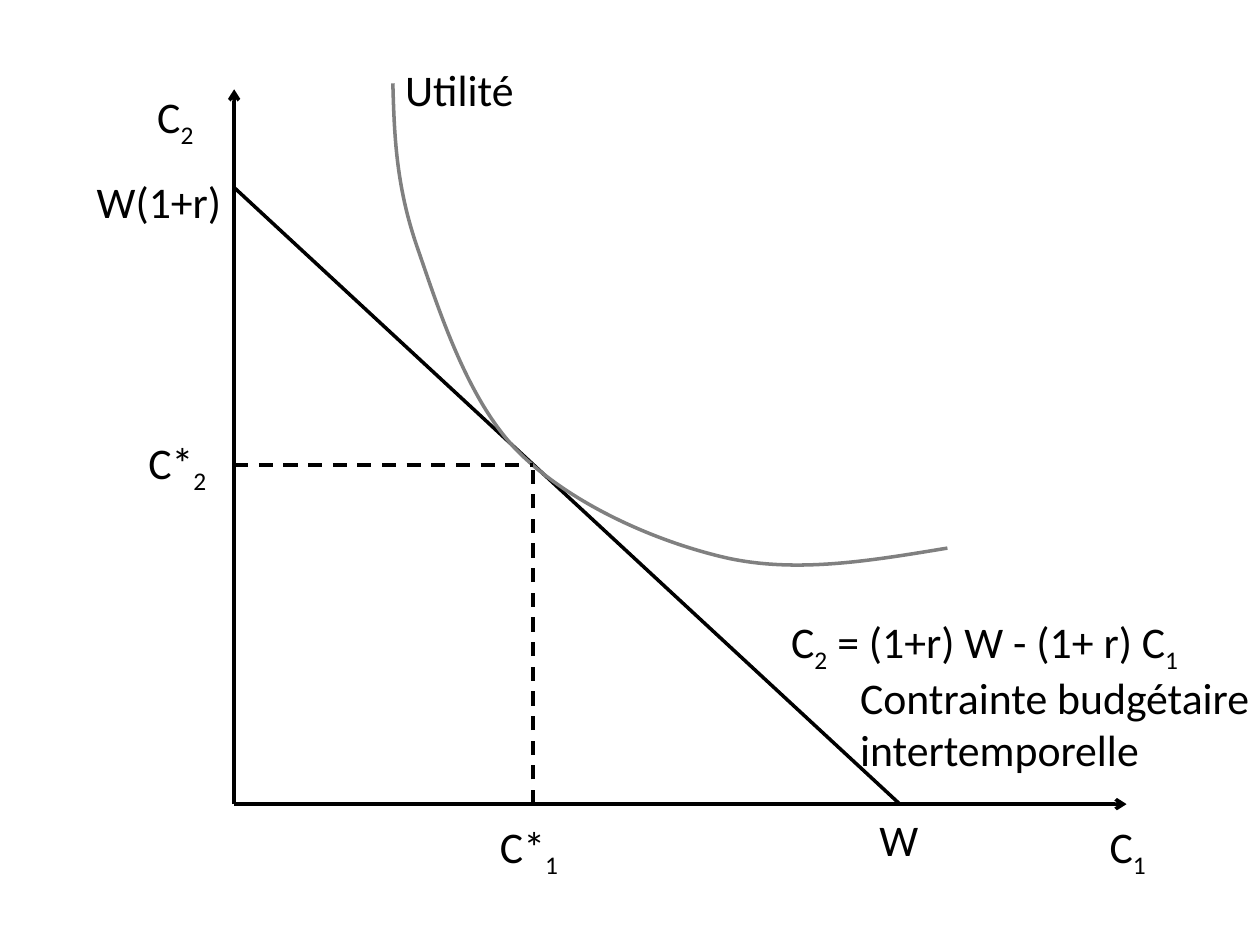
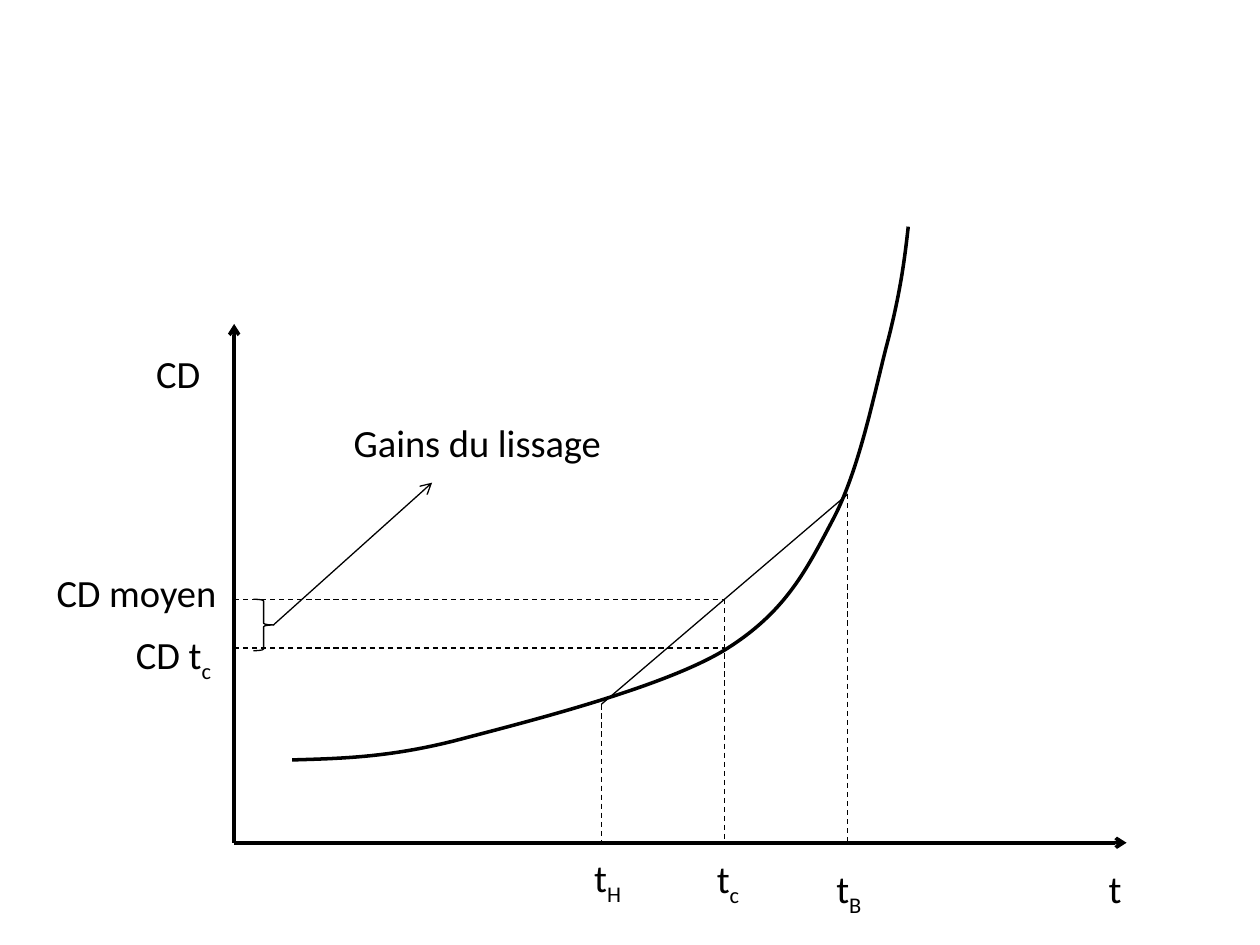
from dataclasses import dataclass

from lxml import etree
from pptx import Presentation
from pptx import util as u
from pptx.dml.color import RGBColor
from pptx.enum import dml, shapes, text
from pptx.oxml.ns import qn


@dataclass(frozen=True)
class Theme:
    font: str = "Calibri"
    ink: RGBColor = RGBColor(0x00, 0x00, 0x00)
    grey: RGBColor = RGBColor(0x80, 0x80, 0x80)
    budget_size: int = 25
    smoothing_size: int = 22
    thick: float = 2
    thin: float = 0.75


THEME = Theme()
AXIS_X = 4.72
AXIS_END = 22.71


def set_all(target, values):
    for name, value in values.items():
        setattr(target, name, value)


def style_line(line, color=THEME.ink, width=THEME.thick, dashed=False, arrow=False):
    line.fill.solid()
    line.fill.fore_color.rgb = color
    line.width = u.Pt(width)
    if dashed:
        line.dash_style = dml.MSO_LINE.DASH
    if arrow:
        etree.SubElement(line._get_or_add_ln(), qn("a:tailEnd"), type="arrow")


def add_line(page, start, end, **look):
    points = [u.Cm(value) for value in (*start, *end)]
    connector = page.shapes.add_connector(shapes.MSO_CONNECTOR.STRAIGHT, *points)
    style_line(connector.line, **look)
    etree.SubElement(connector._element.spPr, qn("a:effectLst"))


def add_axes(page, top, base):
    for end in ((AXIS_X, top), (AXIS_END, base)):
        add_line(page, (AXIS_X, base), end, arrow=True)


def style_outline(shape, **look):
    shape.shadow.inherit = False
    shape.fill.background()
    style_line(shape.line, **look)


def add_curve(page, points, **look):
    start, *rest = [(u.Cm(x), u.Cm(y)) for x, y in points]
    builder = page.shapes.build_freeform(*start)
    builder.add_line_segments(rest, close=False)
    curve = builder.convert_to_shape()
    outline = next(curve._element.iter(qn("a:path")))
    segments = outline.findall(qn("a:lnTo"))
    for first in range(0, len(segments), 3):
        bezier = etree.SubElement(outline, qn("a:cubicBezTo"))
        for segment in segments[first:first + 3]:
            bezier.append(segment[0])
            outline.remove(segment)
    style_outline(curve, **look)


def add_brace(page, left, top, width, height):
    bounds = [u.Cm(value) for value in (left, top, width, height)]
    brace = page.shapes.add_shape(shapes.MSO_SHAPE.RIGHT_BRACE, *bounds)
    style_outline(brace, width=THEME.thin)


def add_label(page, wording, left, top, width, size, height=None, wrap=False):
    height = height or size * 0.053
    bounds = [u.Cm(value) for value in (left, top, width, height)]
    box = page.shapes.add_textbox(*bounds)
    set_all(box.text_frame, {
        "word_wrap": wrap,
        "auto_size": text.MSO_AUTO_SIZE.SHAPE_TO_FIT_TEXT,
    })
    para = box.text_frame.paragraphs[0]
    for index, part in enumerate(wording.split("_")):
        span = para.add_run()
        span.text = part
        set_all(span.font, {"name": THEME.font, "size": u.Pt(size)})
        span.font.color.rgb = THEME.ink
        if index % 2:
            span._r.get_or_add_rPr().set("baseline", "-25000")


def add_labels(page, labels, size):
    for label in labels:
        add_label(page, *label, size=size)


def draw_budget_constraint(page):
    base = 16.21
    optimum_x, optimum_y = optimum = (10.74, 9.37)
    size = THEME.budget_size
    add_axes(page, 1.8, base)
    add_line(page, (AXIS_X, 3.78), (18.14, base))
    add_curve(page, [
        (7.92, 1.68),
        (7.95, 2.72), (7.98, 3.73), (8.41, 4.98),
        (8.84, 6.22), (9.42, 8.08), (10.46, 9.12),
        (11.51, 10.16), (13.21, 10.92), (14.66, 11.25),
        (16.08, 11.56), (17.58, 11.3), (19.1, 11.05),
    ], color=THEME.grey)
    add_line(page, (AXIS_X, optimum_y), optimum, dashed=True)
    add_line(page, (optimum_x, base), optimum, dashed=True)
    add_labels(page, [
        ("C_2", 2.92, 1.68, 1.3),
        ("C_1", 22.12, 16.41, 1.3),
        ("W", 17.48, 16.26, 1.3),
        ("W(1+r)", 1.7, 3.4, 3.05),
        ("C*_2", 2.74, 8.66, 1.73),
        ("C*_1", 9.83, 16.41, 1.73),
        ("Utilité", 7.92, 1.14, 2.72),
        ("C_2_ = (1+r) W - (1+ r) C_1", 15.7, 12.27, 8.48),
    ], size)
    add_label(page, "Contrainte budgétaire intertemporelle", 17.09, 13.39, 9.6,
              size, height=2.39, wrap=True)


def draw_smoothing_gains(page):
    base = 16.99
    low_x, low_y = low = (12.12, 14.2)
    high_x, high_y = high = (17.09, 9.96)
    middle_x, mean_y = (low_x + high_x) / 2, (low_y + high_y) / 2
    curve_y = 13.06
    add_axes(page, 6.53, base)
    add_curve(page, [
        (5.89, 15.32),
        (6.91, 15.29), (7.92, 15.27), (9.37, 14.88),
        (10.82, 14.5), (13.39, 13.84), (14.6, 13.11),
        (15.85, 12.34), (16.26, 11.48), (16.81, 10.44),
        (17.35, 9.4), (17.65, 7.8), (17.91, 6.83),
        (18.16, 5.84), (18.24, 5.21), (18.31, 4.57),
    ])
    for x, y in (low, high, (middle_x, mean_y)):
        add_line(page, (x, y), (x, base), width=THEME.thin, dashed=True)
    for y in (curve_y, mean_y):
        add_line(page, (AXIS_X, y), (middle_x, y), width=THEME.thin, dashed=True)
    add_line(page, low, high, width=THEME.thin)
    add_brace(page, 5.11, mean_y, 0.41, 1.04)
    add_line(page, (5.51, 12.6), (8.71, 9.73), width=THEME.thin, arrow=True)
    add_labels(page, [
        ("CD", 2.9, 6.93, 1.42),
        ("t", 22.1, 17.32, 0.79),
        ("t_H", 11.73, 17.09, 1.09),
        ("t_B", 16.61, 17.32, 1.07),
        ("t_c", 14.2, 17.12, 0.99),
        ("CD moyen", 0.89, 11.35, 3.78),
        ("CD t_c", 2.49, 12.6, 2.06),
        ("Gains du lissage", 6.88, 8.33, 5.56),
    ], THEME.smoothing_size)


def main():
    deck = Presentation()
    set_all(deck, {"slide_width": u.Cm(25.4), "slide_height": u.Cm(19.05)})
    for draw in (draw_budget_constraint, draw_smoothing_gains):
        draw(deck.slides.add_slide(deck.slide_layouts[6]))
    deck.save("out.pptx")


if __name__ == "__main__":
    main()
